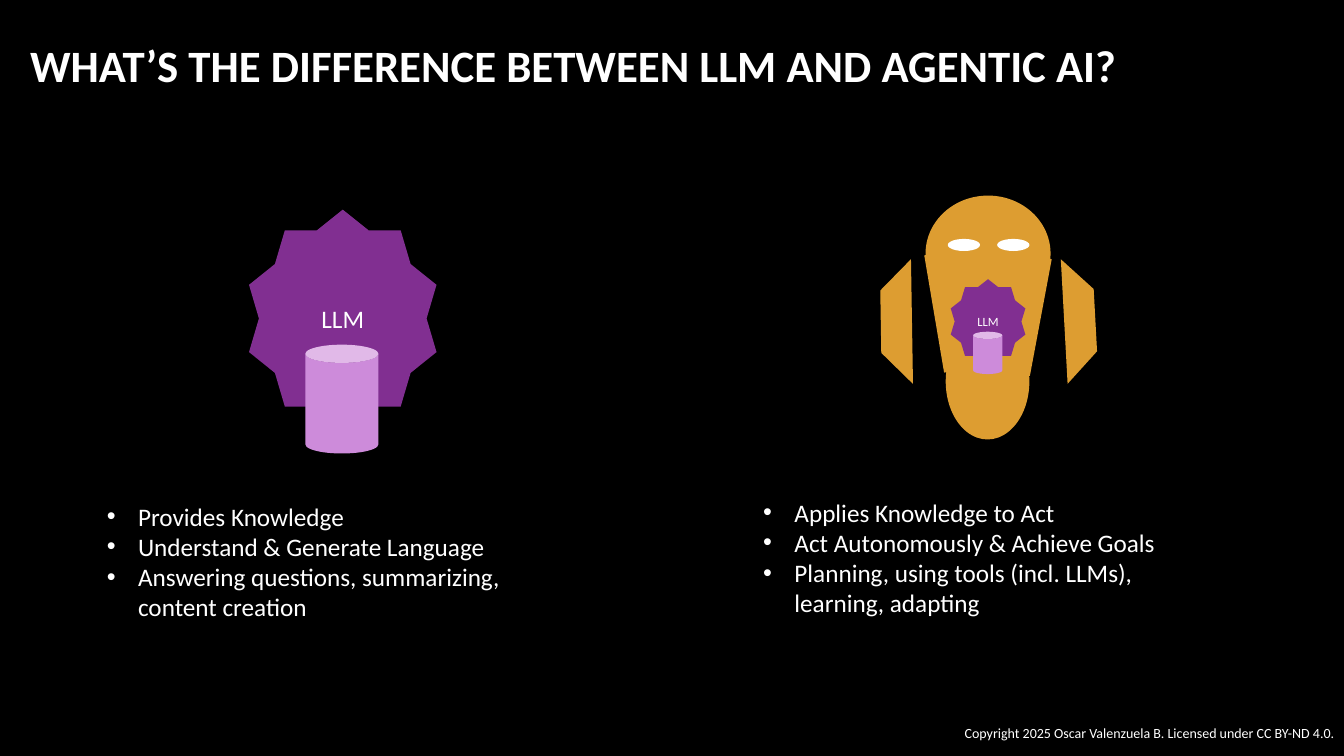
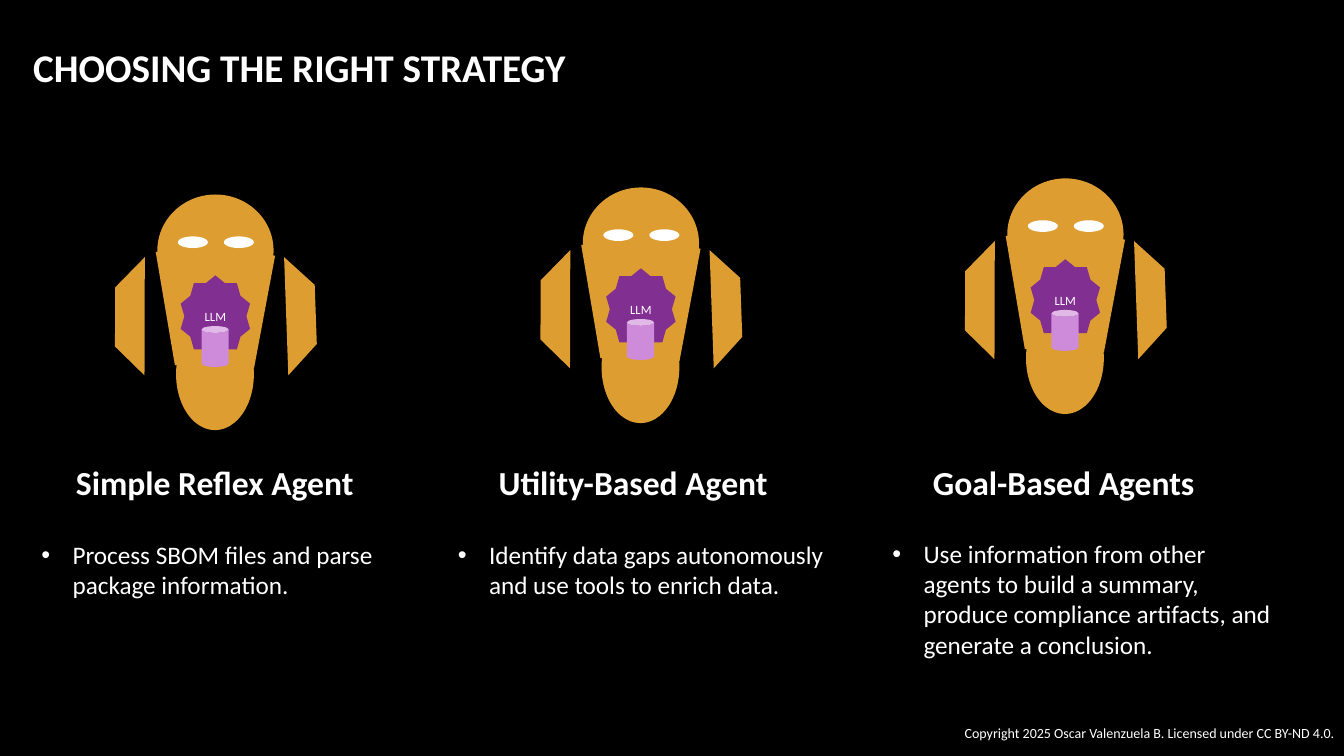
from lxml.etree import SubElement
from pptx import Presentation
from pptx.dml.color import RGBColor
from pptx.enum.shapes import MSO_SHAPE as SHAPE
from pptx.enum.text import MSO_ANCHOR, MSO_AUTO_SIZE, PP_ALIGN
from pptx.oxml.ns import qn
from pptx.util import Pt

PX = 9144  # 100 px to the inch
WIDE, HIGH = 1333, 750
FONT = "Calibri"
COLORS = {"back": "000000", "text": "FFFFFF", "agent": "DD9D31",
          "model": "812F91", "data": "CD8BDA"}
COPYRIGHT = "Copyright 2025 Oscar Valenzuela B. Licensed under CC BY-ND 4.0."

COMPARE = {
    "title": "WHAT’S THE DIFFERENCE BETWEEN LLM AND AGENTIC AI?",
    "model": (247, 208, 186, 216),
    "agent": (861, 194),
    "lists": [
        ((106, 492, 467, 131), ["Provides Knowledge",
                                "Understand & Generate Language",
                                "Answering questions, summarizing, content creation"]),
        ((757, 488, 446, 131), ["Applies Knowledge to Act",
                                "Act Autonomously & Achieve Goals",
                                "Planning, using tools (incl. LLMs), learning, adapting"]),
    ],
}
STRATEGY = {
    "title": "CHOOSING THE RIGHT STRATEGY",
    "scale": (0.93, 0.966),
    # agent corner, heading, heading left, list box, list text
    "agents": [
        ((103, 193), "Simple Reflex Agent", 41, (41, 530, 359, 71),
         "Process SBOM files and parse package information."),
        ((525, 186), "Utility-Based Agent", 456, (454, 530, 385, 101),
         "Identify data gaps autonomously and use tools to enrich data."),
        ((946, 177), "Goal-Based Agents", 883, (885, 529, 385, 131),
         "Use information from other agents to build a summary, "
         "produce compliance artifacts, and generate a conclusion."),
    ],
}
# preset, colour, box inside the agent, rotation
AGENT = [
    (SHAPE.RECTANGLE, "agent", (65, 52, 78, 118), 350.4),
    (SHAPE.OVAL, "agent", (57, 0, 124, 115), 0),
    (SHAPE.RECTANGLE, "agent", (94, 55, 78, 118), 10.6),
    (SHAPE.DIAGONAL_STRIPE, "agent", (0, 81, 87, 88), 314.4),
    (SHAPE.DIAGONAL_STRIPE, "agent", (151, 81, 87, 88), 132.2),
    (SHAPE.OVAL, "agent", (77, 127, 83, 115), 0),
    (SHAPE.OVAL, "text", (79, 43, 32, 12), 0),
    (SHAPE.OVAL, "text", (128, 43, 32, 12), 0),
]
AGENT_MODEL = (82, 83, 74, 84)


def color(name):
    return RGBColor.from_string(COLORS[name])


def emu(box):
    return [round(v * PX) for v in box]


def add_run(par, text, size, bold=False):
    run = par.add_run()
    run.text = text
    run.font.name = FONT
    run.font.size = Pt(size)
    run.font.bold = bold
    run.font.color.rgb = color("text")


def add_part(group, preset, fill, box, turn=0):
    part = group.shapes.add_shape(preset, *emu(box))
    part.shadow.inherit = False
    part.fill.solid()
    part.fill.fore_color.rgb = color(fill)
    part.line.fill.background()
    part.rotation = turn
    return part


def add_model(group, box, size):
    """Star labelled LLM with its data can, the can sized from the star."""
    x, y, w, h = box
    star = add_part(group, SHAPE.STAR_10_POINT, "model", box)
    frame = star.text_frame
    frame.word_wrap = False
    frame.vertical_anchor = MSO_ANCHOR.MIDDLE
    frame.margin_left = frame.margin_right = 0
    frame.paragraphs[0].alignment = PP_ALIGN.CENTER
    add_run(frame.paragraphs[0], "LLM", size)
    add_part(group, SHAPE.CAN, "data",
             (x + 0.3 * w, y + 0.62 * h, 0.39 * w, 0.5 * h))


def add_agent(slide, corner, scale=(1, 1)):
    group = slide.shapes.add_group_shape()
    (left, top), (sx, sy) = corner, scale

    def place(box, turn=0):
        """Scale about the centre; a part lying on its side swaps the scales."""
        x, y, w, h = box
        kx, ky = (sy, sx) if 45 < turn % 180 < 135 else (sx, sy)
        return (left + (x + w / 2) * sx - w * kx / 2,
                top + (y + h / 2) * sy - h * ky / 2, w * kx, h * ky)

    for preset, fill, box, turn in AGENT:
        add_part(group, preset, fill, place(box, turn), turn)
    add_model(group, place(AGENT_MODEL), 9)


def add_text(slide, box, lines, size, bold=False, align=PP_ALIGN.LEFT,
             bullet=False, anchor=MSO_ANCHOR.TOP, left=10, spacing=None):
    frame = slide.shapes.add_textbox(*emu(box)).text_frame
    frame.word_wrap = True
    frame.auto_size = MSO_AUTO_SIZE.NONE
    frame.vertical_anchor = anchor
    frame.margin_left = left * PX
    for i, line in enumerate(lines):
        par = frame.add_paragraph() if i else frame.paragraphs[0]
        par.alignment = align
        if spacing:
            par.line_spacing = spacing
        if bullet:
            props = par._p.get_or_add_pPr()
            props.set("marL", str(31 * PX))
            props.set("indent", str(-31 * PX))
            SubElement(props, qn("a:buFont")).set("typeface", "Arial")
            SubElement(props, qn("a:buChar")).set("char", "•")
        add_run(par, line, size, bold)


def add_list(slide, box, lines):
    add_text(slide, box, lines, 18, bullet=True, left=0)


def add_slide(deck, title, box, size, **style):
    slide = deck.slides.add_slide(deck.slide_layouts[6])
    slide.background.fill.solid()
    slide.background.fill.fore_color.rgb = color("back")
    add_text(slide, box, [title], size, bold=True, **style)
    add_text(slide, (0, 714, WIDE, 27), [COPYRIGHT], 10, align=PP_ALIGN.RIGHT)
    return slide


def compare_slide(deck):
    slide = add_slide(deck, COMPARE["title"], (20, 22, 1226, 74), 32,
                      anchor=MSO_ANCHOR.BOTTOM, spacing=0.9)
    add_model(slide.shapes.add_group_shape(), COMPARE["model"], 18)
    add_agent(slide, COMPARE["agent"])
    for box, lines in COMPARE["lists"]:
        add_list(slide, box, lines)


def strategy_slide(deck):
    slide = add_slide(deck, STRATEGY["title"], (33, 27, 1267, 79), 28,
                      anchor=MSO_ANCHOR.MIDDLE, left=0)
    for corner, name, left, box, text in STRATEGY["agents"]:
        add_agent(slide, corner, STRATEGY["scale"])
        add_text(slide, (left, 453, 344, 50), [name], 24, bold=True,
                 align=PP_ALIGN.CENTER)
        add_list(slide, box, [text])


def main():
    deck = Presentation()
    deck.slide_width, deck.slide_height = emu((WIDE, HIGH))
    compare_slide(deck)
    strategy_slide(deck)
    deck.save("out.pptx")


if __name__ == "__main__":
    main()
